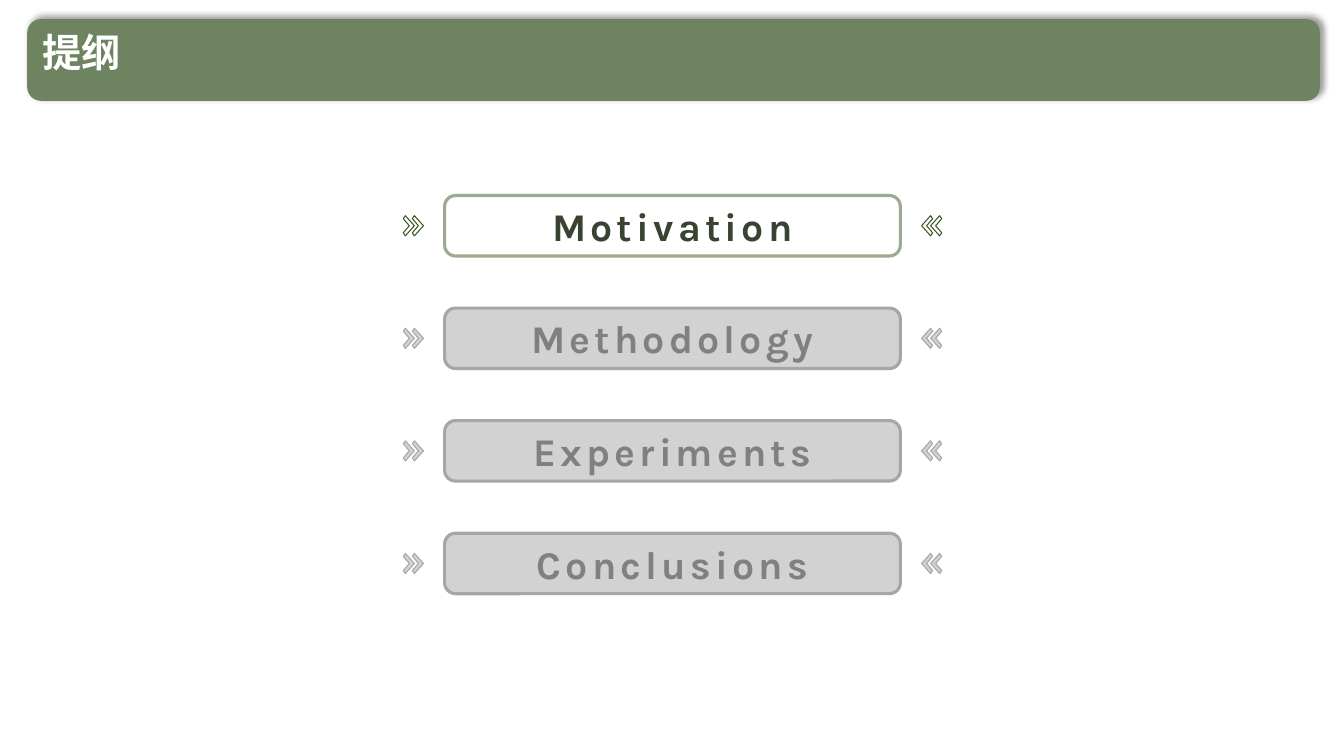
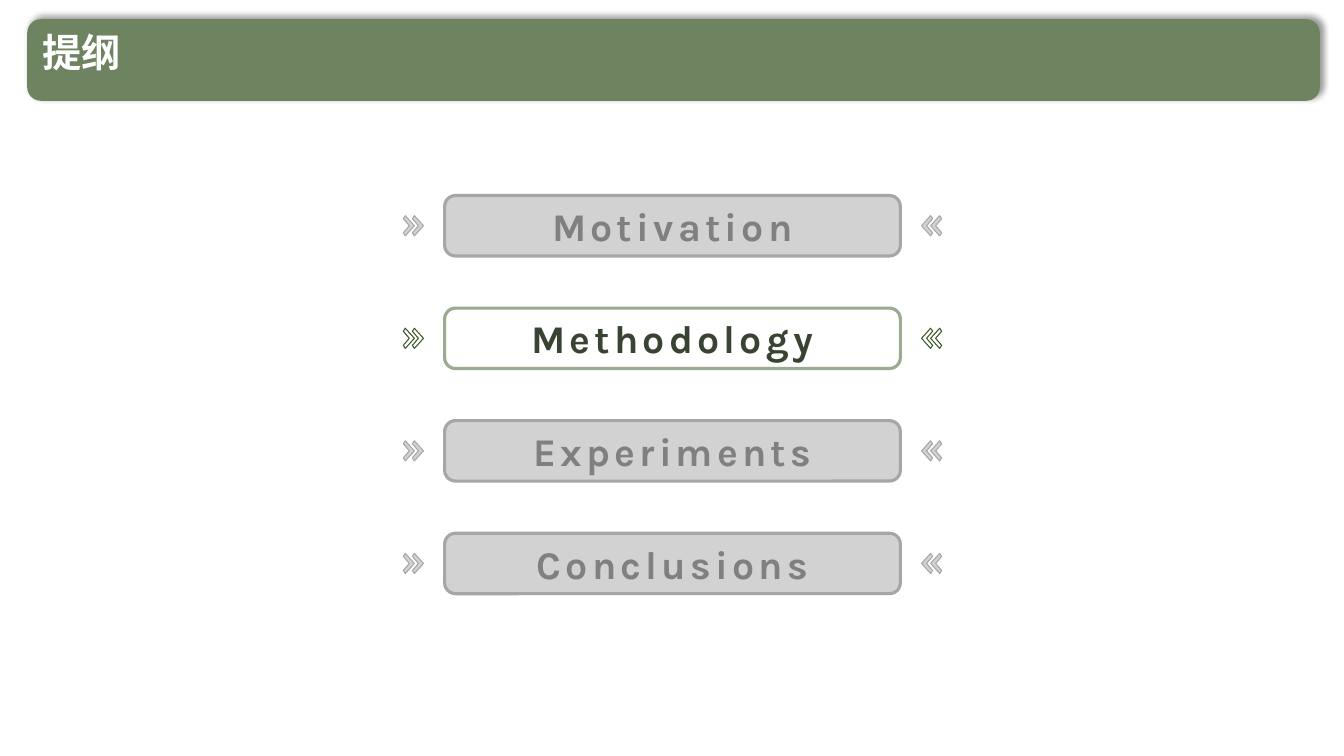
from lxml.etree import SubElement
from pptx import Presentation
from pptx.dml.color import RGBColor
from pptx.enum.shapes import MSO_SHAPE
from pptx.enum.text import MSO_ANCHOR, PP_ALIGN
from pptx.oxml.ns import qn
from pptx.util import Inches, Pt

TITLE = "提纲"
SECTIONS = ["Motivation", "Methodology", "Experiments", "Conclusions"]
ACTIVE_SECTIONS = ["Motivation", "Methodology"]  # one slide for each

COLORS = {
    "band": "6E8360", "title": "FFFFFF", "shadow": "000000",
    "active_line": "9BAA90", "active_text": "384331", "active_arrow": "385723",
    "muted": "A6A6A6", "muted_text": "808080",
}
HEADING_FONT, SECTION_FONT = "Noto Sans CJK SC", "Karla"

BUTTON_LEFT, BUTTON_WIDTH, BUTTON_HEIGHT = 4.41, 4.52, 0.6
FIRST_TOP, LAST_TOP = 1.94, 5.29
ROW_PITCH = (LAST_TOP - FIRST_TOP) / (len(SECTIONS) - 1)
MIRROR_SUM = 2 * BUTTON_LEFT + BUTTON_WIDTH
CHEVRON_LEFTS = [4, 4.09]
CHEVRON = [(0.02, -0.1), (0, -0.07), (0.06, 0), (0, 0.07), (0.02, 0.1), (0.11, 0)]


def rgb(name):
    return RGBColor.from_string(COLORS[name])


def style_shape(shape, fill=None, line=None, width=0.75, alpha=None):
    shape.shadow.inherit = False
    if fill:
        shape.fill.solid()
        shape.fill.fore_color.rgb = rgb(fill)
    else:
        shape.fill.background()
    if alpha:
        color = shape.fill._xPr.find(qn("a:solidFill"))[0]
        SubElement(color, qn("a:alpha"), val=str(alpha * 1000))
    if line:
        shape.line.color.rgb = rgb(line)
        shape.line.width = Pt(width)
    else:
        shape.line.fill.background()


def write_text(shape, text, font, color, align=PP_ALIGN.LEFT,
               anchor=MSO_ANCHOR.TOP, tracking=0, line_spacing=1.0):
    frame = shape.text_frame
    frame.word_wrap = True
    frame.vertical_anchor = anchor
    para = frame.paragraphs[0]
    para.alignment = align
    para.line_spacing = line_spacing
    span = para.add_run()
    span.text = text
    span.font.size = Pt(28)
    span.font.bold = True
    span.font.name = font
    span.font.color.rgb = rgb(color)
    properties = span.font._element
    SubElement(properties, qn("a:ea"), typeface=font)
    if tracking:
        properties.set("spc", str(tracking * 100))


def add_rounded_box(page, left, top, width, height):
    return page.shapes.add_shape(MSO_SHAPE.ROUNDED_RECTANGLE, Inches(left),
                                 Inches(top), Inches(width), Inches(height))


def add_band_shadow(band):
    effects = band._element.spPr.find(qn("a:effectLst"))
    shadow = SubElement(effects, qn("a:outerShdw"), blurRad=str(Pt(4)),
                        dist=str(Pt(3)), dir=str(315 * 60000),
                        algn="bl", rotWithShape="0")
    color = SubElement(shadow, qn("a:srgbClr"), val=COLORS["shadow"])
    SubElement(color, qn("a:alpha"), val="40000")


def add_title(page):
    band = add_rounded_box(page, 0.27, 0.19, 12.82, 0.81)
    style_shape(band, fill="band")
    add_band_shadow(band)
    box = page.shapes.add_textbox(Inches(0.32), Inches(0.28), Inches(11.07), Inches(0.62))
    write_text(box, TITLE, HEADING_FONT, "title", line_spacing=0.9)


def add_chevron(page, left, middle, mirrored, look):
    points = []
    for x, y in CHEVRON:
        x += left
        points.append((Inches(MIRROR_SUM - x if mirrored else x), Inches(middle + y)))
    builder = page.shapes.build_freeform(*points[0])
    builder.add_line_segments(points[1:], close=True)
    style_shape(builder.convert_to_shape(), **look)


def add_section(page, name, top, active):
    if active:
        button_look, arrow_look = {"line": "active_line"}, {"line": "active_arrow"}
    else:
        button_look = arrow_look = {"fill": "muted", "line": "muted", "alpha": 50}
    for mirrored in (False, True):
        for left in CHEVRON_LEFTS:
            add_chevron(page, left, top + BUTTON_HEIGHT / 2, mirrored, arrow_look)
    button = add_rounded_box(page, BUTTON_LEFT, top, BUTTON_WIDTH, BUTTON_HEIGHT)
    button.adjustments[0] = 0.18
    style_shape(button, width=2.25, **button_look)
    write_text(button, name, SECTION_FONT, "active_text" if active else "muted_text",
               align=PP_ALIGN.CENTER, anchor=MSO_ANCHOR.MIDDLE, tracking=3)


def main():
    deck = Presentation()
    deck.slide_width, deck.slide_height = Inches(13.33), Inches(7.5)
    for active_section in ACTIVE_SECTIONS:
        page = deck.slides.add_slide(deck.slide_layouts[6])
        add_title(page)
        for row, name in enumerate(SECTIONS):
            add_section(page, name, FIRST_TOP + row * ROW_PITCH, name == active_section)
    deck.save("out.pptx")


if __name__ == "__main__":
    main()
